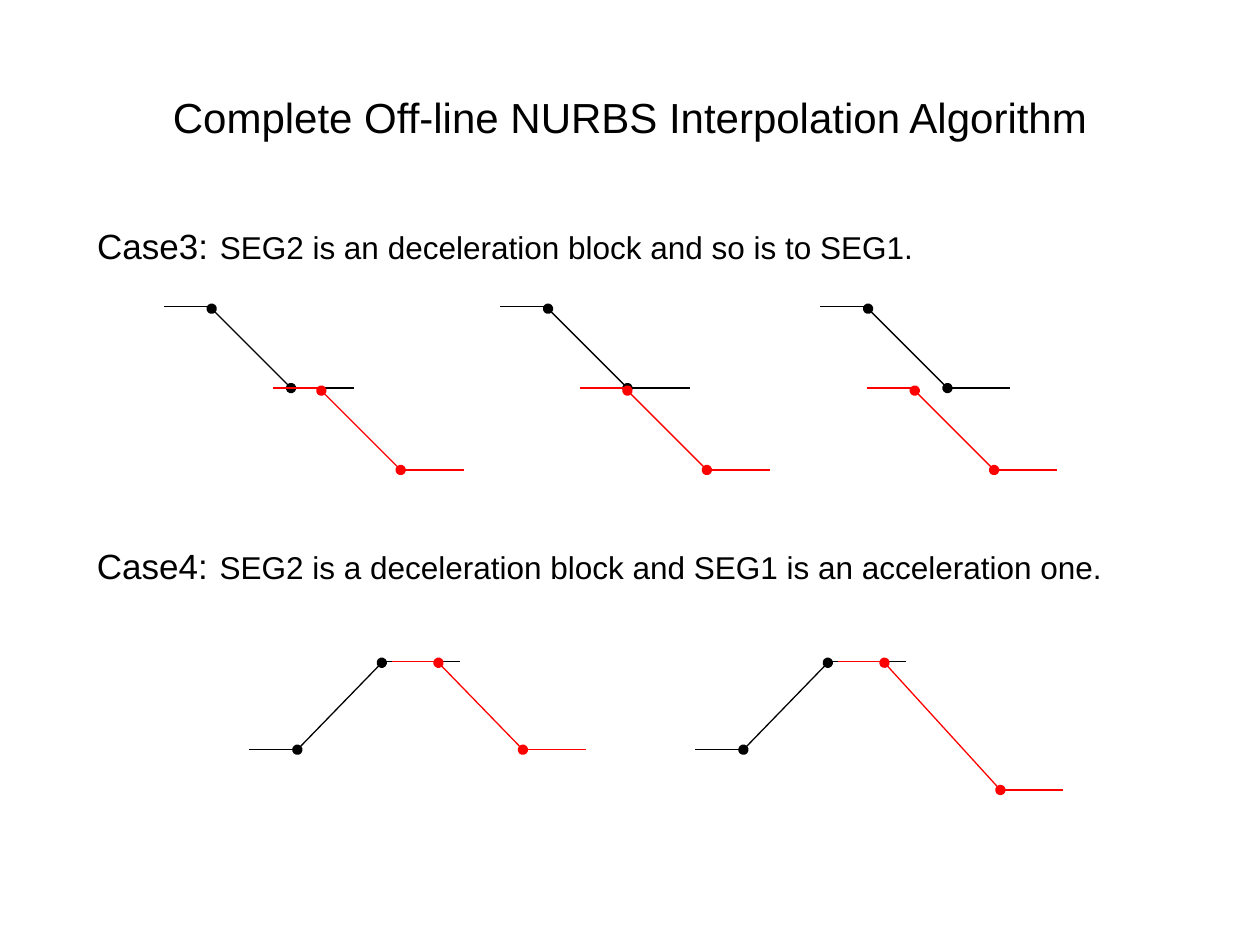
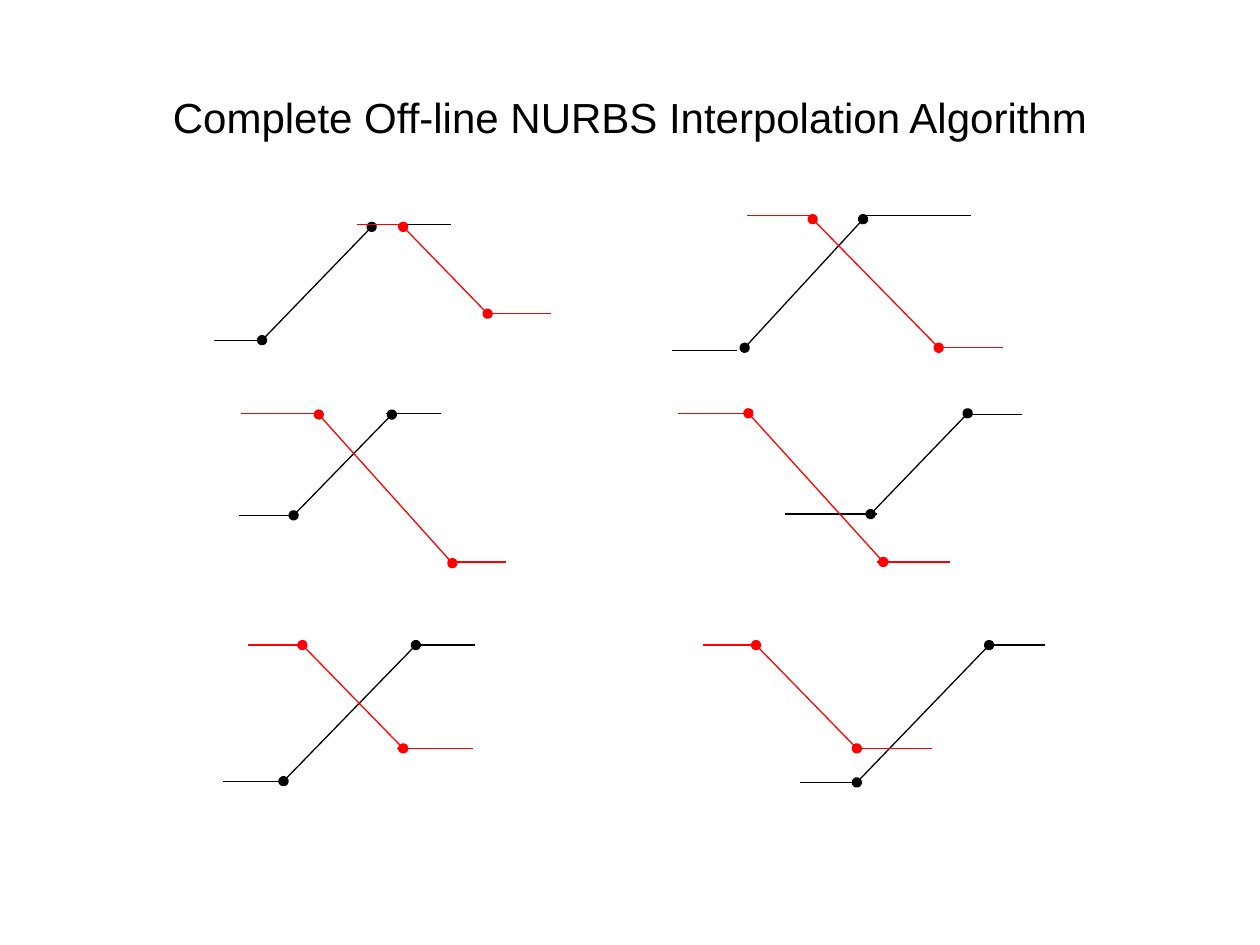
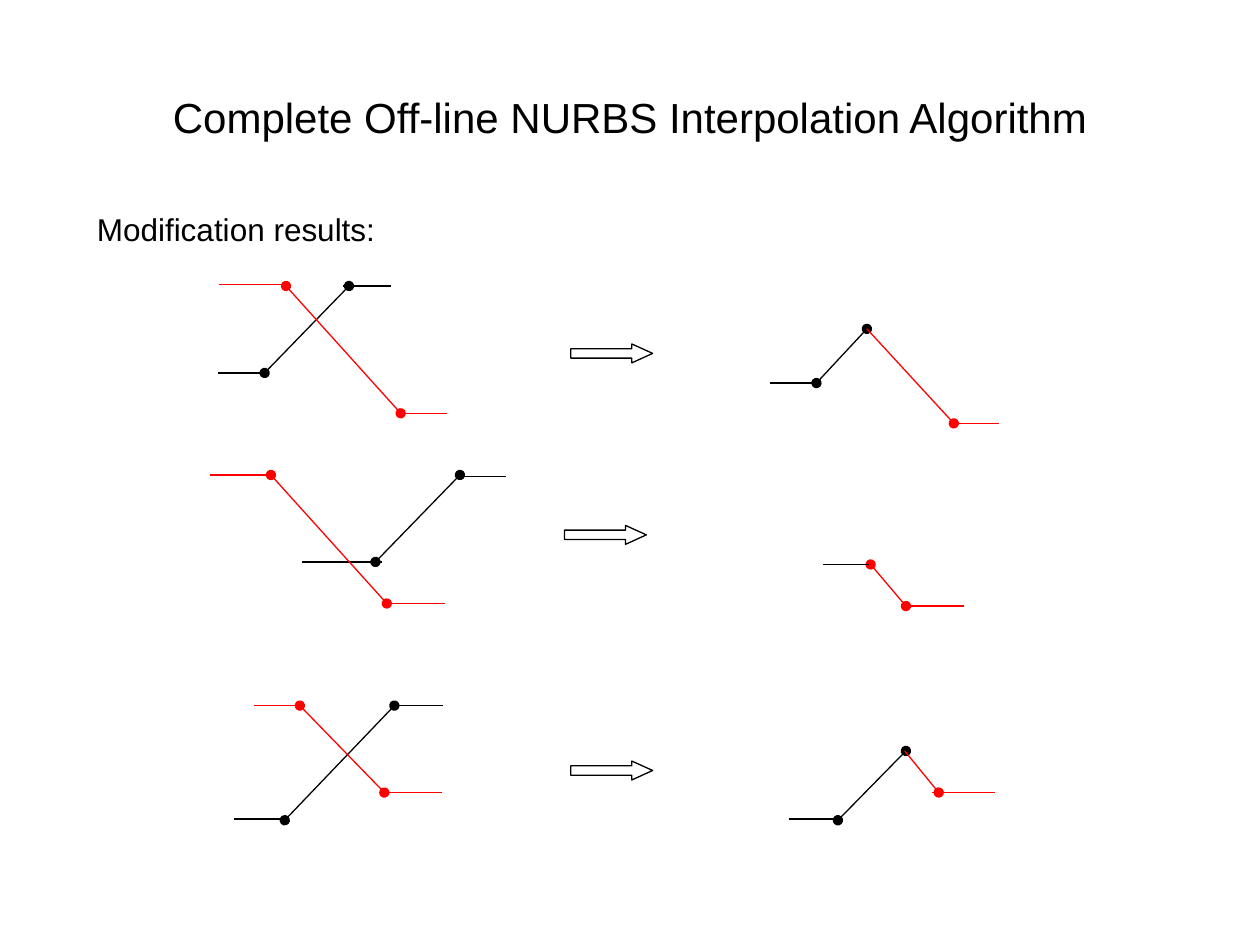
from pptx import Presentation
from pptx import util as u
from pptx.dml.color import RGBColor
from pptx.enum import shapes, text
from pptx.oxml.ns import qn
from lxml import etree

BLACK = RGBColor(0, 0, 0)
RED = RGBColor(0xFF, 0, 0)
WHITE = RGBColor(0xFF, 0xFF, 0xFF)
FONT = "Arial"
TITLE = "Complete Off-line NURBS Interpolation Algorithm"
LINE_WIDTH = u.Pt(0.75)
TITLE_AND_BODY, TITLE_ONLY = 1, 5


class Deck:
    def __init__(self):
        self.prs = Presentation()
        self.prs.slide_width = u.Inches(10)
        self.prs.slide_height = u.Inches(7.5)
        self.s = None

    def slide(self, layout):
        self.s = self.prs.slides.add_slide(self.prs.slide_layouts[layout])
        sp = self.s.shapes.title
        self.place(sp, 0.5, 0.3, 9, 1.25)
        tf = sp.text_frame
        tf.auto_size = text.MSO_AUTO_SIZE.NONE
        tf.vertical_anchor = text.MSO_ANCHOR.MIDDLE
        p = tf.paragraphs[0]
        p.alignment = text.PP_ALIGN.CENTER
        self.runs(p, (TITLE, 24))

    def place(self, sp, left, top, width, height):
        sp.left, sp.top = u.Inches(left), u.Inches(top)
        sp.width, sp.height = u.Inches(width), u.Inches(height)

    def runs(self, p, *parts):
        for words, size in parts:
            r = p.add_run()
            r.text = words
            r.font.name = FONT
            r.font.size = u.Pt(size)
            r.font.bold = words == " "
            r.font.color.rgb = BLACK

    def body(self, left, top, width, height, *parts):
        sp = self.s.placeholders[1]
        self.place(sp, left, top, width, height)
        sp.text_frame.auto_size = text.MSO_AUTO_SIZE.NONE
        p = sp.text_frame.paragraphs[0]
        p.line_spacing = 0.8
        p.space_before = u.Pt(0)
        pPr = p._p.get_or_add_pPr()
        pPr.set("marL", str(u.Inches(0.38)))
        pPr.set("indent", str(u.Inches(-0.38)))
        etree.SubElement(pPr, qn("a:buNone"))
        self.runs(p, *parts)

    def label(self, left, top, width, height, *parts):
        sp = self.s.shapes.add_textbox(*map(u.Inches, (left, top, width, height)))
        tf = sp.text_frame
        tf.word_wrap = True
        tf.auto_size = text.MSO_AUTO_SIZE.SHAPE_TO_FIT_TEXT
        tf.vertical_anchor = text.MSO_ANCHOR.MIDDLE
        self.runs(tf.paragraphs[0], *parts)

    def line(self, color, start, end, dots=()):
        c = self.s.shapes.add_connector(
            shapes.MSO_CONNECTOR.STRAIGHT, *map(u.Inches, (*start, *end)))
        c.line.color.rgb = color
        c.line.width = LINE_WIDTH
        spPr = c._element.spPr
        ln = spPr.find(qn("a:ln"))
        for dot in dots:
            etree.SubElement(ln, qn(f"a:{dot}")).set("type", "oval")
        etree.SubElement(spPr, qn("a:effectLst"))

    def profile(self, color, lead, start, end, tail):
        self.line(color, start, end,
                  ("headEnd", "tailEnd") if lead else ("tailEnd",))
        for flat in filter(None, (lead, tail)):
            x1, x2, y = flat
            self.line(color, (x1, y), (x2, y))

    def profiles(self, rows):
        for row in rows:
            self.profile(*row)

    def arrow(self, left, top):
        sp = self.s.shapes.add_shape(
            shapes.MSO_SHAPE.RIGHT_ARROW, *map(u.Inches, (left, top, 0.65, 0.15)))
        sp.adjustments[0] = 0.5
        sp.adjustments[1] = 1.1
        sp.shadow.inherit = False
        sp.fill.solid()
        sp.fill.fore_color.rgb = WHITE
        sp.line.color.rgb = BLACK
        sp.line.width = LINE_WIDTH


def cases_slide(d):
    d.slide(TITLE_AND_BODY)
    d.body(0.67, 1.75, 8.74, 0.43, ("Case3:", 20), (" ", 24),
           ("SEG2 is an deceleration block and so is to SEG1.", 18))
    for black_x, red_x in ((1.68, 2.55), (4.35, 4.98), (6.89, 7.26)):
        for color, x, y in ((BLACK, black_x, 2.43), (RED, red_x, 3.08)):
            d.profile(color, (x - 0.38, x, y), (x, y + 0.02),
                      (x + 0.63, y + 0.65), (x + 0.63, x + 1.13, y + 0.65))

    d.label(0.67, 4.22, 8.51, 0.5, ("Case4:", 20), (" ", 24),
            ("SEG2 is a deceleration block and SEG1 is an acceleration one.", 18))
    top, peak = 5.25, 5.26
    for x, run, end_y in ((3.03, 0.67, 5.95), (6.57, 0.92, 6.27)):
        d.profile(BLACK, (x - 1.05, x - 0.67, 5.95), (x - 0.67, 5.95),
                  (x, peak), (x, x + 0.62, top))
        red_x = x + 0.45
        d.profile(RED, (red_x - 0.37, red_x, top), (red_x, peak),
                  (red_x + run, end_y), (red_x + run, red_x + run + 0.5, end_y))


def crossings_slide(d):
    d.slide(TITLE_ONLY)
    d.profiles((
        (BLACK, (1.7, 2.08, 2.7), (2.08, 2.7), (2.95, 1.8), (2.95, 3.58, 1.78)),
        (RED, (2.83, 3.2, 1.78), (3.2, 1.8), (3.87, 2.49), (3.87, 4.37, 2.49)),
        (BLACK, (5.33, 5.85, 2.78), (5.91, 2.76), (6.85, 1.74), (6.85, 7.71, 1.71)),
        (RED, (5.93, 6.45, 1.71), (6.45, 1.74), (7.45, 2.76), (7.45, 7.96, 2.76)),
        (BLACK, (1.9, 2.34, 4.09), (2.33, 4.09), (3.11, 3.29), (3.06, 3.5, 3.28)),
        (RED, (1.91, 2.5, 3.28), (2.53, 3.29), (3.59, 4.47), (3.58, 4.02, 4.46)),
        (BLACK, (6.23, 6.96, 4.08), (6.91, 4.08), (7.68, 3.28), (7.68, 8.11, 3.29)),
        (RED, (5.38, 5.97, 3.28), (5.94, 3.28), (7.01, 4.46), (6.96, 7.54, 4.46)),
        (BLACK, (1.77, 2.22, 6.2), (2.25, 6.2), (3.3, 5.12), (3.32, 3.77, 5.12)),
        (RED, (1.97, 2.42, 5.12), (2.4, 5.12), (3.2, 5.94), (3.15, 3.75, 5.94)),
        (BLACK, (6.35, 6.8, 6.21), (6.8, 6.21), (7.85, 5.12), (7.83, 8.29, 5.12)),
        (RED, (5.58, 6.03, 5.12), (6, 5.12), (6.8, 5.94), (6.8, 7.4, 5.94)),
    ))


def results_slide(d):
    d.slide(TITLE_ONLY)
    d.label(0.67, 1.62, 3.39, 0.4, ("Modification results:", 18))
    d.profiles((
        (BLACK, (1.73, 2.1, 2.96), (2.1, 2.96), (2.77, 2.27), (2.72, 3.1, 2.27)),
        (RED, (1.74, 2.24, 2.26), (2.27, 2.27), (3.18, 3.28), (3.17, 3.55, 3.28)),
        (BLACK, (2.4, 3.03, 4.46), (2.98, 4.46), (3.65, 3.77), (3.64, 4.02, 3.78)),
        (RED, (1.67, 2.17, 3.77), (2.15, 3.77), (3.07, 4.79), (3.03, 3.53, 4.79)),
        (BLACK, (1.86, 2.24, 6.5), (2.26, 6.51), (3.13, 5.6), (3.15, 3.52, 5.6)),
        (RED, (2.02, 2.4, 5.6), (2.38, 5.6), (3.05, 6.29), (3.01, 3.51, 6.29)),
        (BLACK, (6.11, 6.49, 3.04), (6.48, 3.04), (6.88, 2.61), None),
        (RED, None, (6.88, 2.61), (7.57, 3.36), (7.56, 7.93, 3.36)),
        (RED, (6.9, 6.91, 4.48), (6.91, 4.48), (7.19, 4.81), (7.15, 7.65, 4.81)),
        (BLACK, (6.26, 6.64, 6.5), (6.65, 6.51), (7.19, 5.96), None),
        (RED, None, (7.18, 5.96), (7.45, 6.29), (7.4, 7.9, 6.29)),
    ))
    d.line(BLACK, (6.53, 4.48), (6.9, 4.48))
    for left, top in ((4.53, 2.73), (4.48, 4.17), (4.53, 6.04)):
        d.arrow(left, top)


def main():
    d = Deck()
    cases_slide(d)
    crossings_slide(d)
    results_slide(d)
    d.prs.save("out.pptx")


if __name__ == "__main__":
    main()
